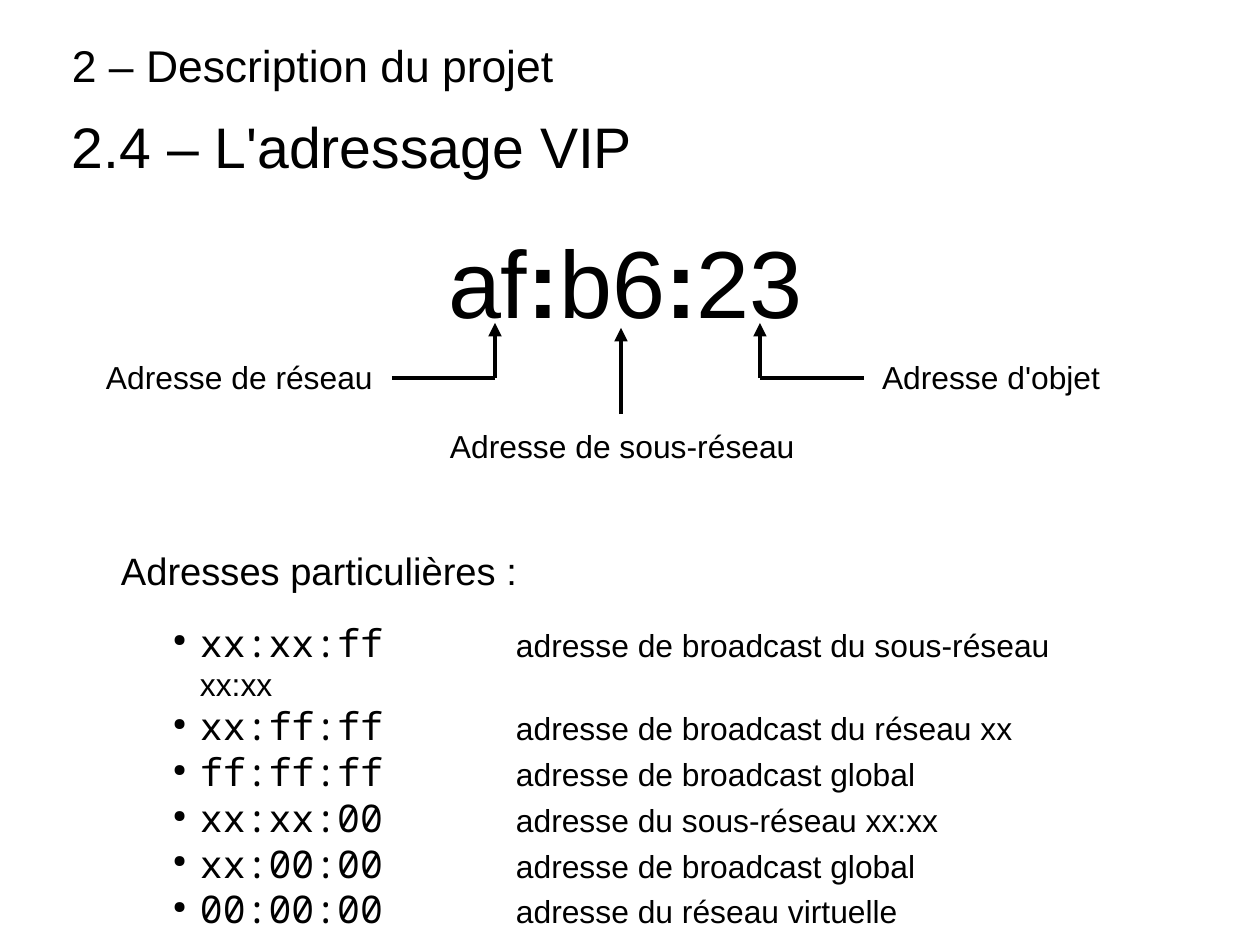
"""Build the slide on VIP addressing: an annotated address and a list of special addresses."""
import pptx
import pptx.util
import pptx.dml.color
import pptx.enum.shapes
import pptx.enum.text
import pptx.oxml
import pptx.oxml.ns

COLORS = {"ink": "000000", "paper": "FFFFFF"}
SANS, MONO = "Arial", "Noto Sans Mono"
SLIDE_SIZE = (1260, 945)
EMU_PER_PX = 8000

TITLE = ("2 – Description du projet", 28, (72, 30, 1134, 70))
SUBTITLE = ("2.4 – L'adressage VIP", 36, (72, 111, 1134, 70))
ADDRESS = (["af", ":", "b6", ":", "23"], 60, (430, 210, 391, 131))
LABELS = {
    "network": ("Adresse de réseau", (88, 345, 304, 66)),
    "object": ("Adresse d'objet", (864, 345, 255, 66)),
    "subnet": ("Adresse de sous-réseau", (432, 414, 378, 61)),
}
LINES = [
    ((392, 378), (495, 378), ("network", 3), False),
    ((495, 378), (495, 323), None, True),
    ((621, 414), (621, 328), ("subnet", 0), True),
    ((864, 378), (760, 378), ("object", 1), False),
    ((760, 378), (760, 323), None, True),
]
LIST_HEADING = ("Adresses particulières :", 24, (107, 539, 423, 58))
LIST_BOX = (159, 611, 928, 282)
SPECIAL_ADDRESSES = [
    ("xx:xx:ff", "adresse de broadcast du sous-réseau xx:xx"),
    ("xx:ff:ff", "adresse de broadcast du réseau xx"),
    ("ff:ff:ff", "adresse de broadcast global"),
    ("xx:xx:00", "adresse du sous-réseau xx:xx"),
    ("xx:00:00", "adresse de broadcast global"),
    ("00:00:00", "adresse du réseau virtuelle"),
]
NO_INSET, LABEL_INSET, LIST_INSET = (0, 0), (18, 13), (14, 8)
BULLET_INDENT = 27
TAB_STOP = 343


def px(length):
    return pptx.util.Emu(length * EMU_PER_PX)


def color(name):
    return pptx.dml.color.RGBColor.from_string(COLORS[name])


def set_all(target, values):
    for name, value in values.items():
        setattr(target, name, value)


def xml(text):
    namespace = pptx.oxml.ns.nsdecls("a")
    return pptx.oxml.parse_xml(text.replace("/>", f" {namespace}/>", 1)
                               if text.count("<") == 1
                               else text.replace(">", f" {namespace}>", 1))


def add_run(paragraph, text, size, font=SANS, bold=False):
    run = paragraph.add_run()
    run.text = text
    set_all(run.font, {"size": pptx.util.Pt(size), "name": font, "bold": bold})
    run.font.color.rgb = color("ink")


def format_frame(shape, inset, wrap, anchor=pptx.enum.text.MSO_ANCHOR.TOP):
    side, top = map(px, inset)
    set_all(shape.text_frame, {
        "margin_left": side, "margin_right": side,
        "margin_top": top, "margin_bottom": top,
        "word_wrap": wrap, "vertical_anchor": anchor,
        "auto_size": pptx.enum.text.MSO_AUTO_SIZE.NONE,
    })
    return shape.text_frame.paragraphs[0]


def add_box(slide, box, inset, wrap=False):
    shape = slide.shapes.add_textbox(*map(px, box))
    return shape, format_frame(shape, inset, wrap)


def add_headings(slide):
    text, size, box = TITLE
    title = slide.shapes.title
    set_all(title, dict(zip(("left", "top", "width", "height"), map(px, box))))
    subtitle, _ = add_box(slide, SUBTITLE[2], NO_INSET)
    for shape, (text, size, _) in ((title, TITLE), (subtitle, SUBTITLE)):
        paragraph = format_frame(shape, NO_INSET, True, pptx.enum.text.MSO_ANCHOR.MIDDLE)
        paragraph.alignment = pptx.enum.text.PP_ALIGN.LEFT
        add_run(paragraph, text, size)


def add_address(slide):
    parts, size, box = ADDRESS
    _, paragraph = add_box(slide, box, LABEL_INSET)
    for part in parts:
        add_run(paragraph, part, size, bold=part == ":")


def add_labels(slide):
    shapes = {}
    for name, (text, box) in LABELS.items():
        shapes[name], paragraph = add_box(slide, box, LABEL_INSET)
        add_run(paragraph, text, 20)
    return shapes


def add_lines(slide, labels):
    for start, end, joint, has_arrow in LINES:
        line = slide.shapes.add_connector(
            pptx.enum.shapes.MSO_CONNECTOR.STRAIGHT, *map(px, start + end))
        if joint:
            name, side = joint
            line.begin_connect(labels[name], side)
        line.line.color.rgb = color("ink")
        line.line.width = pptx.util.Pt(2.83)
        if has_arrow:
            line.line._get_or_add_ln().append(xml('<a:tailEnd type="triangle"/>'))
        line._element.spPr.append(xml("<a:effectLst/>"))


def add_bullet(paragraph):
    properties = paragraph._p.get_or_add_pPr()
    properties.set("marL", str(px(BULLET_INDENT)))
    properties.set("indent", str(-px(BULLET_INDENT)))
    for element in (
        f'<a:buClr><a:srgbClr val="{COLORS["ink"]}"/></a:buClr>',
        '<a:buSzPct val="45000"/>',
        '<a:buChar char="●"/>',
        f'<a:tabLst><a:tab pos="{px(TAB_STOP)}" algn="l"/></a:tabLst>',
    ):
        properties.append(xml(element))


def add_special_addresses(slide):
    text, size, box = LIST_HEADING
    _, heading = add_box(slide, box, LIST_INSET)
    add_run(heading, text, size)
    shape, paragraph = add_box(slide, LIST_BOX, LIST_INSET, wrap=True)
    for index, (address, meaning) in enumerate(SPECIAL_ADDRESSES):
        if index:
            paragraph = shape.text_frame.add_paragraph()
        add_bullet(paragraph)
        add_run(paragraph, address, 24, MONO)
        add_run(paragraph, "\t" + meaning, 20)


def main():
    presentation = pptx.Presentation()
    width, height = map(px, SLIDE_SIZE)
    set_all(presentation, {"slide_width": width, "slide_height": height})
    slide = presentation.slides.add_slide(presentation.slide_layouts[5])
    slide.background.fill.solid()
    slide.background.fill.fore_color.rgb = color("paper")
    add_headings(slide)
    add_address(slide)
    add_lines(slide, add_labels(slide))
    add_special_addresses(slide)
    presentation.save("out.pptx")


if __name__ == "__main__":
    main()
